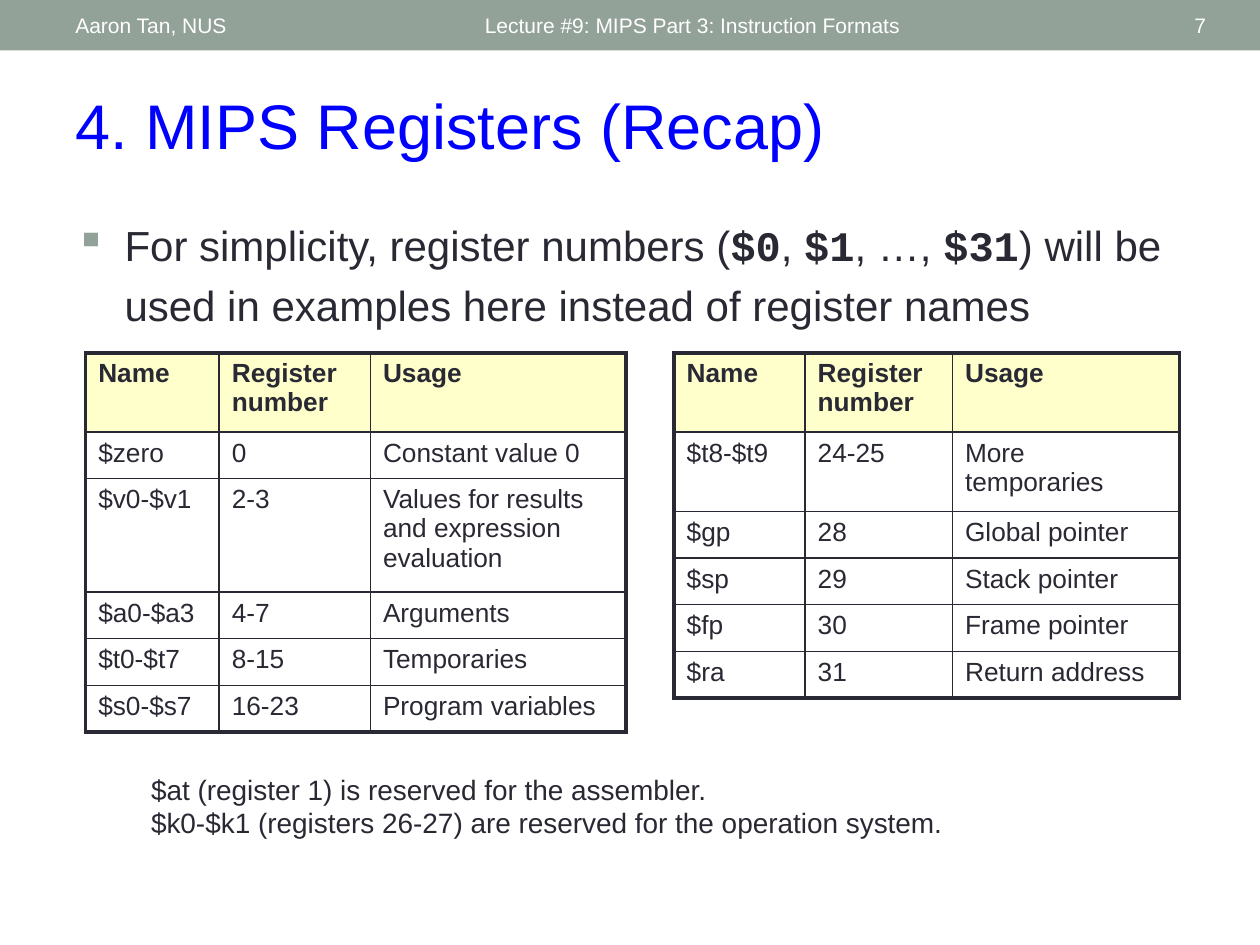
from lxml.etree import SubElement
from pptx import Presentation
from pptx.dml.color import RGBColor
from pptx.enum.shapes import MSO_SHAPE
from pptx.enum.text import MSO_ANCHOR, PP_ALIGN
from pptx.oxml import parse_xml
from pptx.oxml.ns import nsdecls, qn
from pptx.util import Inches, Pt

INK, SAGE, BLUE, CREAM, WHITE = "292934", "93A299", "0000FF", "FFFFCC", "FFFFFF"
THIN, THICK = 1, 2.25


def color(value):
    return RGBColor.from_string(value)


class SlideBuilder:
    font = "Arial"
    code_font = "Courier New"

    def __init__(self, slide):
        self.s = slide

    def style(self, p, size, ink=INK, bold=False):
        for r in p.runs:
            r.font.name, r.font.size, r.font.bold = self.font, Pt(size), bold
            r.font.color.rgb = color(ink)

    def title(self, text, left, top, width, height):
        sp = self.s.shapes.title
        sp.left, sp.top = Inches(left), Inches(top)
        sp.width, sp.height = Inches(width), Inches(height)
        tf = sp.text_frame
        tf.text = text
        tf.vertical_anchor = MSO_ANCHOR.TOP
        tf.paragraphs[0].alignment = PP_ALIGN.LEFT
        self.style(tf.paragraphs[0], 36, BLUE)

    def band(self, left, top, width, height, fill):
        sp = self.s.shapes.add_shape(
            MSO_SHAPE.RECTANGLE, Inches(left), Inches(top), Inches(width), Inches(height))
        sp.shadow.inherit = False
        sp.fill.solid()
        sp.fill.fore_color.rgb = color(fill)
        sp.line.fill.background()

    def text(self, text, left, top, width, height, size, ink=INK,
             anchor=MSO_ANCHOR.TOP, align=PP_ALIGN.LEFT):
        sp = self.s.shapes.add_textbox(
            Inches(left), Inches(top), Inches(width), Inches(height))
        tf = sp.text_frame
        tf.word_wrap = True
        tf.vertical_anchor = anchor
        tf.text = text
        for p in tf.paragraphs:
            p.alignment = align
            self.style(p, size, ink)
        return tf

    def bullet(self, parts, left, top, width, height, size):
        """Write one bulleted paragraph; every second part is code."""
        p = self.text("", left, top, width, height, size).paragraphs[0]
        for part in parts:
            p.add_run().text = part
        self.style(p, size)
        for r in p.runs[1::2]:
            r.font.name, r.font.bold = self.code_font, True
        p.line_spacing = 1.2
        p.space_before = Pt(size / 2)
        pPr = p._p.get_or_add_pPr()
        pPr.set("marL", str(Inches(0.39)))
        pPr.set("indent", str(-Inches(0.39)))
        bullet_color = SubElement(pPr, qn("a:buClr"))
        SubElement(bullet_color, qn("a:srgbClr")).set("val", SAGE)
        SubElement(pPr, qn("a:buChar")).set("char", "▪")

    def borders(self, cell, widths):
        tcPr = cell._tc.get_or_add_tcPr()
        for i, (side, width) in enumerate(zip("LRTB", widths)):
            tcPr.insert(i, parse_xml(
                f'<a:ln{side} {nsdecls("a")} w="{Pt(width)}"><a:solidFill>'
                f'<a:srgbClr val="{INK}"/></a:solidFill></a:ln{side}>'))

    def table(self, rows, left, top, col_widths, row_heights):
        n_rows, n_cols = len(rows), len(col_widths)
        table = self.s.shapes.add_table(
            n_rows, n_cols, Inches(left), Inches(top),
            Inches(sum(col_widths)), Inches(sum(row_heights))).table
        table.horz_banding = table.first_row = False
        for column, width in zip(table.columns, col_widths):
            column.width = Inches(width)
        for i, (row, height) in enumerate(zip(rows, row_heights)):
            table.rows[i].height = Inches(height)
            for j, value in enumerate(row):
                cell = table.cell(i, j)
                cell.text = value
                p = cell.text_frame.paragraphs[0]
                p.space_before = Pt(3)
                self.style(p, 15, bold=i == 0)
                if i == 0:
                    cell.fill.solid()
                    cell.fill.fore_color.rgb = color(CREAM)
                else:
                    cell.fill.background()
                outer = (j == 0, j == n_cols - 1, i == 0, i == n_rows - 1)
                self.borders(cell, [THICK if edge else THIN for edge in outer])


def main():
    prs = Presentation()
    prs.slide_width, prs.slide_height = Inches(10), Inches(7.5)
    slide = SlideBuilder(prs.slides.add_slide(prs.slide_layouts[5]))

    # Header band
    slide.band(0, 0, 10, 0.4, SAGE)
    for text, left, width, align in [
        ("Lecture #9: MIPS Part 3: Instruction Formats", 3.75, 4.5, PP_ALIGN.LEFT),
        ("Aaron Tan, NUS", 0.5, 3.17, PP_ALIGN.LEFT),
        ("7", 8.72, 0.95, PP_ALIGN.RIGHT),
    ]:
        slide.text(text, left, 0.02, width, 0.36, 12, WHITE, MSO_ANCHOR.MIDDLE, align)

    # Title and main point
    slide.title("4. MIPS Registers (Recap)", 0.5, 0.64, 9, 0.71)
    slide.bullet(
        ["For simplicity, register numbers (", "$0", ", ", "$1", ", …, ", "$31",
         ") will be used in examples here instead of register names"],
        0.5, 1.61, 9, 1.18, 24)

    # Register tables
    header = ("Name", "Register number", "Usage")
    one_line, two_lines, three_lines = 0.37, 0.63, 0.9
    slide.table(
        [header,
         ("$zero", "0", "Constant value 0"),
         ("$v0-$v1", "2-3", "Values for results and expression evaluation"),
         ("$a0-$a3", "4-7", "Arguments"),
         ("$t0-$t7", "8-15", "Temporaries"),
         ("$s0-$s7", "16-23", "Program variables")],
        0.68, 2.8, [1.06, 1.2, 2.03],
        [two_lines, one_line, three_lines] + [one_line] * 3)
    slide.table(
        [header,
         ("$t8-$t9", "24-25", "More temporaries"),
         ("$gp", "28", "Global pointer"),
         ("$sp", "29", "Stack pointer"),
         ("$fp", "30", "Frame pointer"),
         ("$ra", "31", "Return address")],
        5.35, 2.8, [1.04, 1.17, 1.8],
        [two_lines] * 2 + [one_line] * 4)

    # Reserved registers
    slide.text(
        "$at (register 1) is reserved for the assembler.\n"
        "$k0-$k1 (registers 26-27) are reserved for the operation system.",
        1.1, 6.08, 7.75, 0.64, 16)

    prs.save("out.pptx")


if __name__ == "__main__":
    main()
